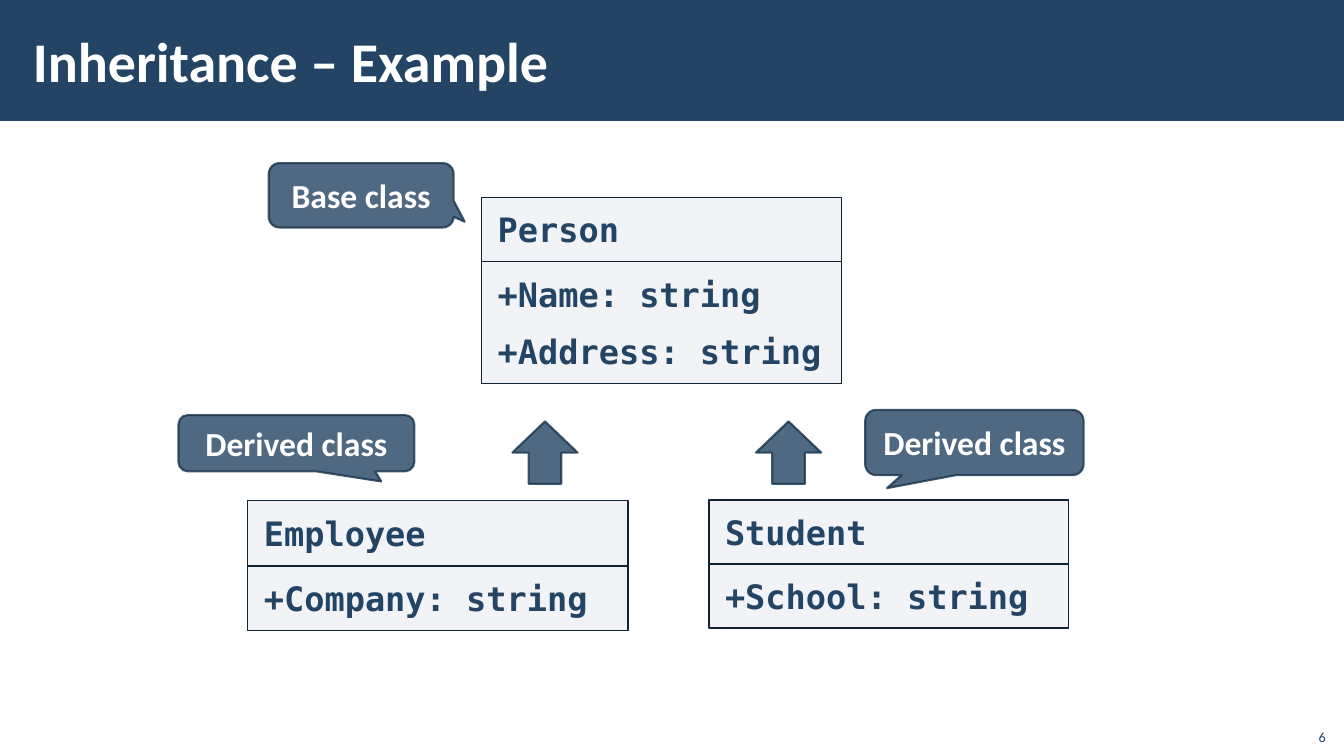
import pptx
import pptx.util
import pptx.dml.color
import pptx.enum.shapes
import pptx.enum.text
import pptx.oxml

Pt = pptx.util.Pt
RGBColor = pptx.dml.color.RGBColor
PRESET = pptx.enum.shapes.MSO_SHAPE
ANCHOR = pptx.enum.text.MSO_ANCHOR
ALIGN = pptx.enum.text.PP_ALIGN

NAVY = RGBColor(0x23, 0x44, 0x65)
DARK_NAVY = RGBColor(0x1A, 0x33, 0x4C)
OUTLINE = RGBColor(0x11, 0x22, 0x33)
GREY = RGBColor(0xAD, 0xB4, 0xC3)
WHITE = RGBColor(0xFF, 0xFF, 0xFF)


def add_shape(shapes, preset, box, fill, opacity, line=None, line_width=0, line_opacity=100):
    """Add a preset shape; box is left, top, width, height in points, opacities in percent."""
    shape = shapes.add_shape(preset, *[Pt(length) for length in box])
    shape.shadow.inherit = False
    shape.fill.solid()
    shape.fill.fore_color.rgb = fill
    if line is None:
        shape.line.fill.background()
    else:
        shape.line.color.rgb = line
        shape.line.width = Pt(line_width)
    colors = shape._element.spPr.xpath(".//a:srgbClr")
    for color, percent in zip(colors, (opacity, line_opacity)):
        if percent < 100:
            alpha = pptx.oxml.parse_xml(
                '<a:alpha xmlns:a="http://schemas.openxmlformats.org/drawingml/2006/main"'
                f' val="{percent * 1000}"/>')
            color.append(alpha)
    return shape


def write_text(shape, lines, font, size, color, bold, align, anchor, margins, spacing=0):
    """Fill a shape with one paragraph per line; margins are horizontal, vertical in points."""
    frame = shape.text_frame
    frame.word_wrap = True
    frame.vertical_anchor = anchor
    frame.margin_left = frame.margin_right = Pt(margins[0])
    frame.margin_top = frame.margin_bottom = Pt(margins[1])
    frame.text = "\n".join(lines)
    for paragraph in frame.paragraphs:
        paragraph.alignment = align
        paragraph.space_before = paragraph.space_after = Pt(spacing)
        paragraph.font.name = font
        paragraph.font.size = Pt(size)
        paragraph.font.bold = bold
        paragraph.font.color.rgb = color


presentation = pptx.Presentation()
presentation.slide_width = Pt(960)
presentation.slide_height = Pt(540)
slide = presentation.slides.add_slide(presentation.slide_layouts[6])

# Title band
add_shape(slide.shapes, PRESET.RECTANGLE, (0, 0, 960, 86.4), NAVY, 100)
title = slide.shapes.add_textbox(Pt(15), Pt(8), Pt(765), Pt(70))
write_text(title, ["Inheritance – Example"], "Calibri", 40, WHITE, True,
           ALIGN.LEFT, ANCHOR.MIDDLE, (8.6, 2.9))

# Class diagrams: left, top, width, name height, members height, name, members
classes = [
    (344, 141, 257, 45.8, 87, "Person", ["+Name: string", "+Address: string"]),
    (177, 357.6, 271.6, 46.6, 46.2, "Employee", ["+Company: string"]),
    (506.4, 357.1, 257, 45.7, 45.9, "Student", ["+School: string"]),
]
for left, top, width, name_height, members_height, name, members in classes:
    class_group = slide.shapes.add_group_shape()
    compartments = [(top, name_height, [name]),
                    (top + name_height, members_height, members)]
    for compartment_top, height, lines in compartments:
        compartment = add_shape(class_group.shapes, PRESET.RECTANGLE,
                                (left, compartment_top, width, height),
                                GREY, 15, OUTLINE, 1)
        write_text(compartment, lines, "DejaVu Sans Mono", 24, NAVY, True,
                   ALIGN.LEFT, ANCHOR.TOP, (11.5, 8.6), 6)

# Callouts: text, box, pointer offset from the centre
callouts = [
    ("Derived class", (127.5, 296.5, 168.5, 40.2), (0.36, 0.68)),
    ("Derived class", (618, 292.8, 156, 46.6), (-0.4, 0.7)),
    ("Base class", (192, 116.5, 132, 46), (0.56, 0.41)),
]
for text, box, pointer in callouts:
    callout = add_shape(slide.shapes, PRESET.ROUNDED_RECTANGULAR_CALLOUT, box,
                        NAVY, 80, DARK_NAVY, 1.5, 80)
    callout.adjustments[0], callout.adjustments[1] = pointer
    write_text(callout, [text], "Calibri", 24, WHITE, True,
               ALIGN.CENTER, ANCHOR.MIDDLE, (7.2, 3.6))

# Arrows from the derived classes up to the base class
for arrow_left in (366, 540):
    add_shape(slide.shapes, PRESET.UP_ARROW, (arrow_left, 301, 46.6, 44.6),
              NAVY, 80, DARK_NAVY, 1.5, 80)

slide_number = slide.shapes.add_textbox(Pt(925), Pt(512.6), Pt(29), Pt(23))
write_text(slide_number, ["6"], "Calibri", 10, NAVY, False,
           ALIGN.RIGHT, ANCHOR.BOTTOM, (7.2, 3.6))

presentation.save("out.pptx")
